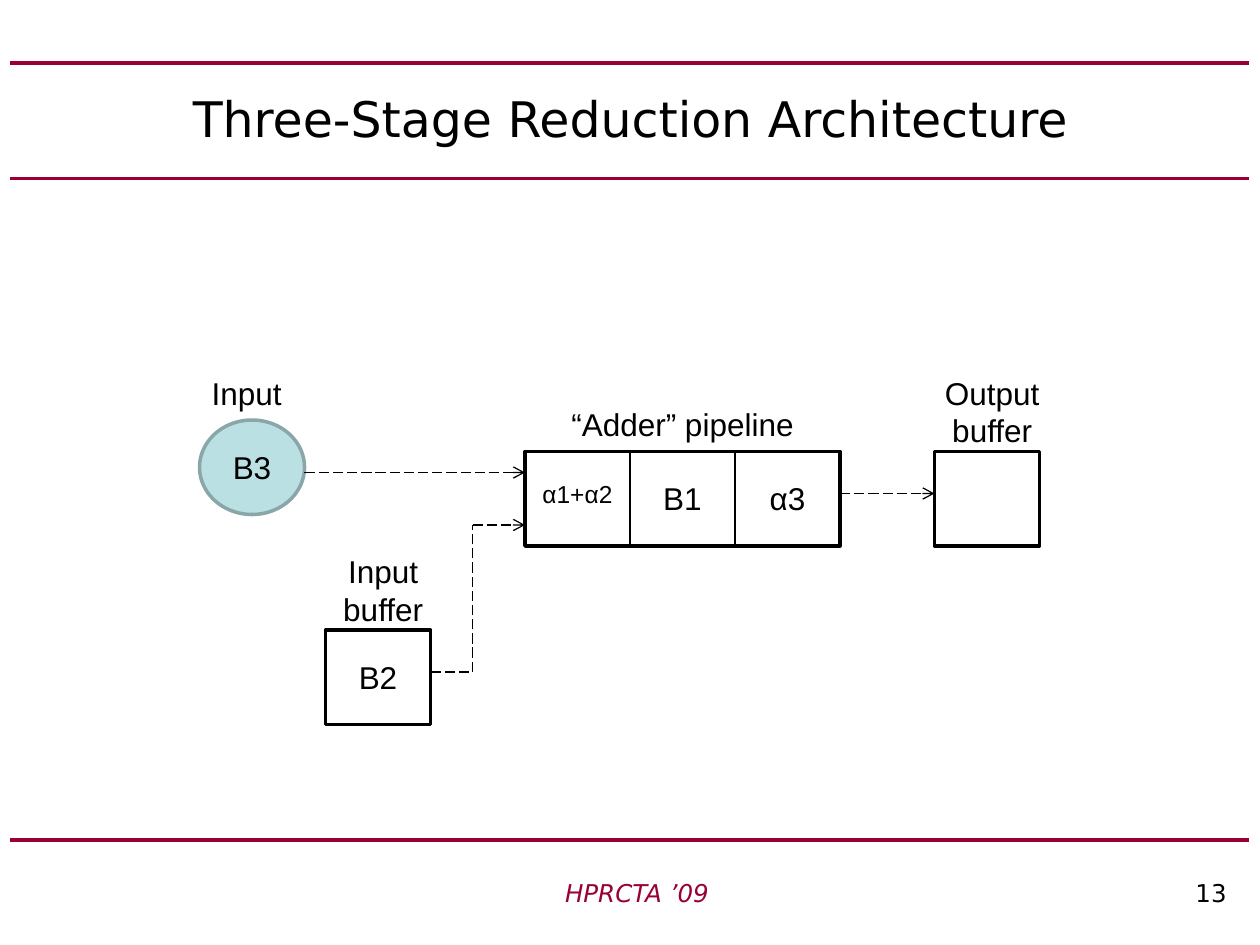
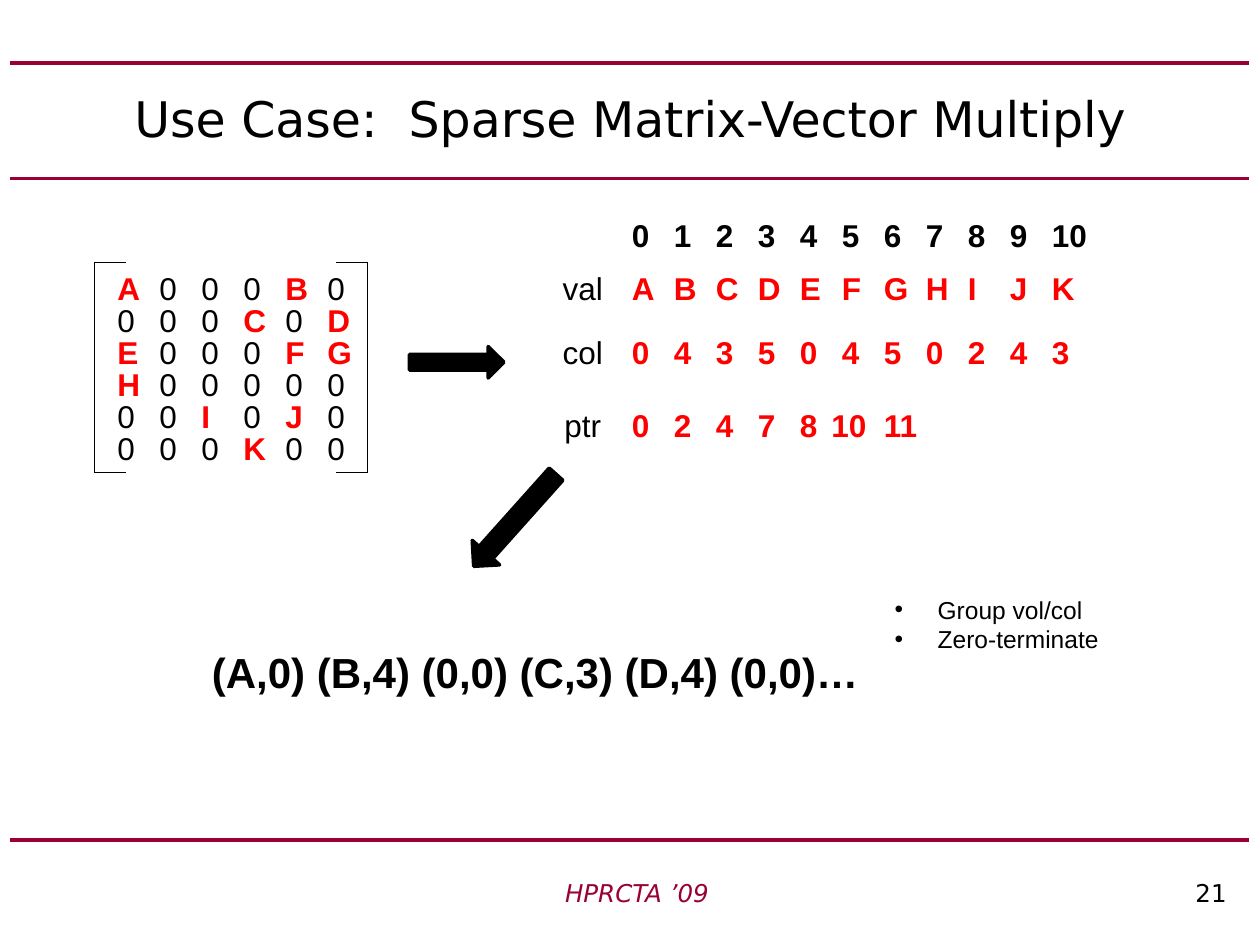
"""Build two slides on reduction architecture and sparse matrix storage."""
from itertools import pairwise

from lxml import etree
from pptx import Presentation
from pptx import util as u
from pptx.dml import color as c
from pptx.enum import dml as d, shapes as s, text as t
from pptx.oxml import ns

CRIMSON, BLACK, WHITE, RED = "990033", "000000", "FFFFFF", "FF0000"
PALE_TEAL, GREY_TEAL = "BBE0E3", "8AA6A8"
BODY_FONT, TITLE_FONT = "Arial", "DejaVu Sans"
BOX_WIDTH, BOX_HEIGHT = 60, 54
COLUMN = 24
LABEL_HEIGHT = 28.8


def rgb(value):
    """Return the colour for a hex string."""
    return c.RGBColor.from_string(value)


def place(shape, left, top, width, height):
    """Move and size a shape in points."""
    shape.left, shape.top = u.Pt(left), u.Pt(top)
    shape.width, shape.height = u.Pt(width), u.Pt(height)


def format_text(shape, content, size=18, color=BLACK, font=BODY_FONT,
                align=t.PP_ALIGN.CENTER, bold=False, italic=False):
    """Fill a shape with uniformly formatted text."""
    frame = shape.text_frame
    frame.text = content
    frame.word_wrap = True
    for paragraph in frame.paragraphs:
        paragraph.alignment = align
        for run in paragraph.runs:
            run.font.name, run.font.size = font, u.Pt(size)
            run.font.bold, run.font.italic = bold, italic
            run.font.color.rgb = rgb(color)


def add_label(slide, content, left, top, width, height=LABEL_HEIGHT, **style):
    """Add a text box."""
    box = slide.shapes.add_textbox(u.Pt(left), u.Pt(top), u.Pt(width), u.Pt(height))
    format_text(box, content, **style)


def add_block(slide, kind, left, top, width, height, fill=None, line=BLACK):
    """Add an outlined preset shape."""
    shape = slide.shapes.add_shape(
        kind, u.Pt(left), u.Pt(top), u.Pt(width), u.Pt(height))
    shape.shadow.inherit = False
    if fill:
        shape.fill.solid()
        shape.fill.fore_color.rgb = rgb(fill)
    else:
        shape.fill.background()
    shape.line.color.rgb = rgb(line)
    shape.line.width = u.Pt(2)
    return shape


def add_line(slide, start, end, color=BLACK, width=0.75, dashed=False, arrow=False):
    """Add a straight connector, optionally dashed or with an arrowhead."""
    connector = slide.shapes.add_connector(
        s.MSO_CONNECTOR.STRAIGHT, *(u.Pt(value) for value in (*start, *end)))
    connector.line.color.rgb = rgb(color)
    connector.line.width = u.Pt(width)
    if dashed:
        connector.line.dash_style = d.MSO_LINE.LONG_DASH
    properties = connector.element.spPr
    if arrow:
        outline = properties.find(ns.qn("a:ln"))
        etree.SubElement(outline, ns.qn("a:tailEnd"), type="arrow")
    etree.SubElement(properties, ns.qn("a:effectLst"))
    return connector


def add_path(slide, *points):
    """Add a dashed path of straight lines that ends in an arrowhead."""
    for start, end in pairwise(points):
        add_line(slide, start, end, dashed=True, arrow=end == points[-1])


def add_master_rules(presentation, slide):
    """Put the three crimson rules on the slide master."""
    for number, top in enumerate((36, 102, 480)):
        rule = add_line(slide, (6, top), (714, top), CRIMSON, 2.25)
        rule.element.nvCxnSpPr.cNvPr.id = 100 + number
        presentation.slide_master.shapes.element.append(rule.element)


def add_frame(slide, title, number):
    """Set the title and the footer of a slide."""
    place(slide.shapes.title, 36, 36, 648, 62.6)
    format_text(slide.shapes.title, title, size=28, font=TITLE_FONT)
    slide.shapes.title.text_frame.vertical_anchor = t.MSO_ANCHOR.MIDDLE
    add_label(slide, "HPRCTA ’09", 304, 498, 120, 24, size=14, color=CRIMSON,
              font=TITLE_FONT, italic=True)
    add_label(slide, number, 648, 498, 60, 24, size=14, font=TITLE_FONT,
              align=t.PP_ALIGN.RIGHT)


def add_buffer(slide, caption, content, left, top):
    """Draw a square buffer with a two-line caption above it."""
    block = add_block(slide, s.MSO_SHAPE.RECTANGLE, left, top, BOX_WIDTH, BOX_HEIGHT)
    format_text(block, content)
    add_label(slide, caption, left - 6, top - 48, 78, 51)


def add_input(slide, left, top):
    """Draw the round input with its caption."""
    circle = add_block(slide, s.MSO_SHAPE.OVAL, left, top, BOX_WIDTH, BOX_HEIGHT,
                       PALE_TEAL, GREY_TEAL)
    format_text(circle, "B3")
    add_label(slide, "Input", left - 12, top - 30, 78)


def add_pipeline(slide, stages, left, top):
    """Draw the adder pipeline, one cell for each stage."""
    width = BOX_WIDTH * len(stages)
    add_block(slide, s.MSO_SHAPE.RECTANGLE, left, top, width, BOX_HEIGHT, WHITE)
    add_label(slide, "“Adder” pipeline", left - 6, top - 30, width + 12)
    for index, (stage, size) in enumerate(stages):
        cell_left = left + index * BOX_WIDTH
        if index:
            add_line(slide, (cell_left, top), (cell_left, top + BOX_HEIGHT))
        add_label(slide, stage, cell_left, top + 12, BOX_WIDTH, size=size)


def add_values(slide, values, left, top, color=RED, nudges=None):
    """Write a row of bold values at an even step."""
    for index, value in enumerate(values):
        shift = (nudges or {}).get(index, 0)
        width = COLUMN if len(value) == 1 else 36
        add_label(slide, value, left + index * COLUMN + shift, top, width,
                  color=color, bold=True, align=t.PP_ALIGN.LEFT)


def add_matrix(slide, rows, left, top, width, height):
    """Draw a bracketed matrix with its nonzero entries in red."""
    for side, inner in ((left, left + 18), (left + width, left + width - 18)):
        add_line(slide, (side, top), (side, top + height))
        for edge in (top, top + height):
            add_line(slide, (side, edge), (inner, edge))
    for row_index, row in enumerate(rows):
        for column_index, entry in enumerate(row):
            nonzero = entry != "0"
            add_label(slide, entry, left + 6 + column_index * COLUMN,
                      top + row_index * 18.3, COLUMN, bold=nonzero,
                      color=RED if nonzero else BLACK, align=t.PP_ALIGN.LEFT)


def add_arrays(slide, left, top):
    """Write the index row and the three storage arrays below it."""
    first = left + 54
    add_values(slide, [str(index) for index in range(11)], first, top, BLACK)
    arrays = (
        ("val", "A B C D E F G H I J K", 30, None),
        ("col", "0 4 3 5 0 4 5 0 2 4 3", 67, None),
        ("ptr", "0 2 4 7 8 10 11", 108.5, {5: -6}),
    )
    for name, values, offset, nudges in arrays:
        add_label(slide, name, left, top + offset, 66)
        add_values(slide, values.split(), first, top + offset, nudges=nudges)


def add_notes_list(slide, items, left, top, width, height):
    """Fill the body placeholder with a short bullet list."""
    body = slide.placeholders[1]
    place(body, left, top, width, height)
    format_text(body, "\n".join(items), size=14, align=t.PP_ALIGN.LEFT)
    body.text_frame.auto_size = t.MSO_AUTO_SIZE.NONE
    for paragraph in body.text_frame.paragraphs:
        paragraph.space_before = u.Pt(0)
        paragraph.line_spacing = u.Pt(17)
        properties = paragraph._p.get_or_add_pPr()
        properties.set("marL", str(u.Pt(24.6)))
        properties.set("indent", str(-u.Pt(24.6)))
        etree.SubElement(properties, ns.qn("a:buChar"), char="•")


def build_architecture(slide):
    """Lay out the three-stage reduction diagram."""
    add_frame(slide, "Three-Stage Reduction Architecture", "13")
    add_input(slide, 114, 240)
    add_pipeline(slide, (("α1+α2", 14), ("B1", 18), ("α3", 18)), 300, 258)
    add_buffer(slide, "Input\nbuffer", "B2", 186, 360)
    add_buffer(slide, "Output\nbuffer", "", 534, 258)
    add_path(slide, (174, 270), (300, 270))
    add_path(slide, (480, 282), (534, 282))
    add_path(slide, (246, 384), (270, 384), (270, 300), (300, 300))


def build_use_case(slide):
    """Lay out the sparse matrix example."""
    add_frame(slide, "Use Case:  Sparse Matrix-Vector Multiply", "21")
    rows = ("A000B0", "000C0D", "E000FG", "H00000", "00I0J0", "000K00")
    add_matrix(slide, rows, 54, 150, 156, 120)
    add_arrays(slide, 300, 120)
    add_block(slide, s.MSO_SHAPE.RIGHT_ARROW, 234, 198, 54, 18, BLACK)
    arrow = add_block(slide, s.MSO_SHAPE.DOWN_ARROW, 283.7, 262, 21, 70.6, BLACK)
    arrow.rotation = 41.8
    add_label(slide, "(A,0) (B,4) (0,0) (C,3) (D,4) (0,0)…", 114, 366, 438, 36,
              size=24, bold=True, align=t.PP_ALIGN.LEFT)
    add_notes_list(slide, ("Group vol/col", "Zero-terminate"), 504, 336, 138, 41)


def main():
    """Create and save the presentation."""
    presentation = Presentation()
    presentation.slide_width, presentation.slide_height = u.Pt(720), u.Pt(540)
    layouts = presentation.slide_layouts
    architecture = presentation.slides.add_slide(layouts.get_by_name("Title Only"))
    add_master_rules(presentation, architecture)
    build_architecture(architecture)
    build_use_case(presentation.slides.add_slide(
        layouts.get_by_name("Title and Content")))
    presentation.save("out.pptx")


if __name__ == "__main__":
    main()
